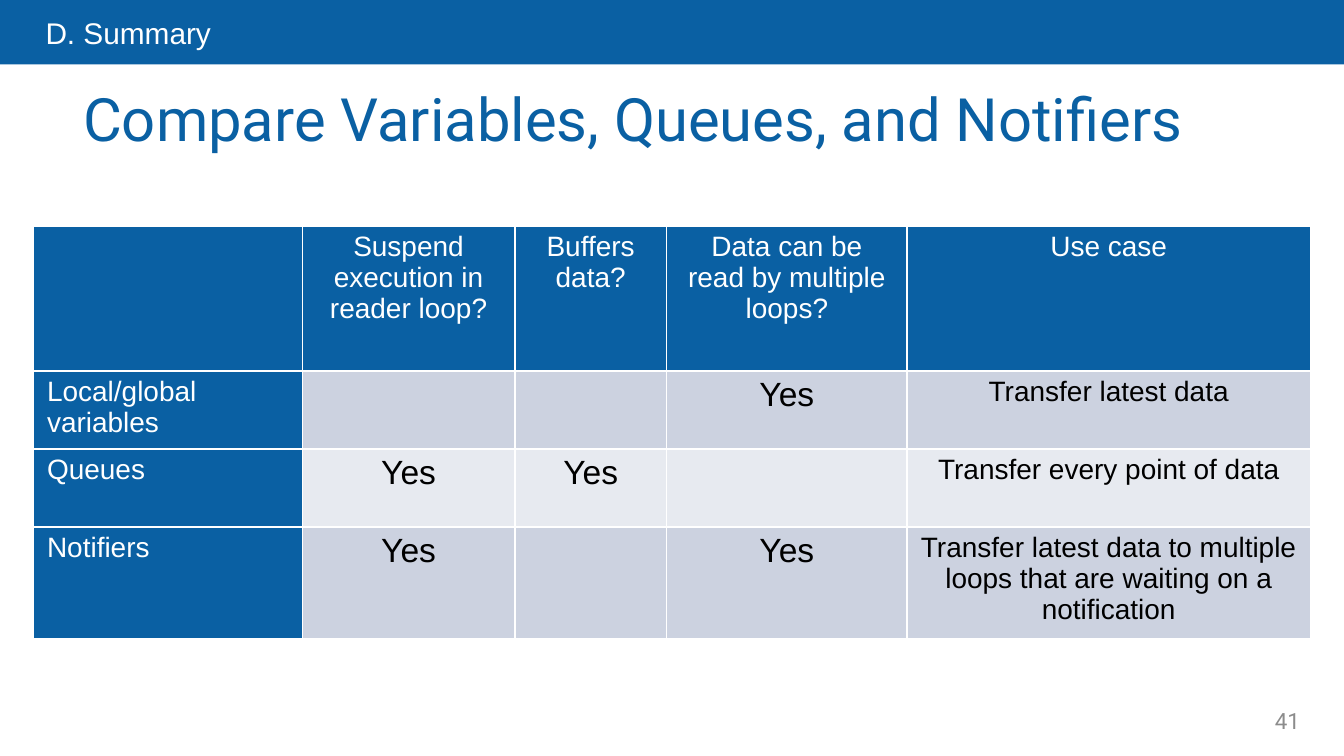
from lxml import etree
from pptx import Presentation
from pptx.dml.color import RGBColor
from pptx.enum.shapes import MSO_SHAPE
from pptx.enum.text import MSO_ANCHOR, PP_ALIGN
from pptx.oxml.ns import qn
from pptx.util import Inches, Pt

RECTANGLE = MSO_SHAPE.RECTANGLE
TOP, MIDDLE = MSO_ANCHOR.TOP, MSO_ANCHOR.MIDDLE
LEFT, CENTER = PP_ALIGN.LEFT, PP_ALIGN.CENTER

WIDTH = 10
HEIGHT = WIDTH * 9 / 16
COLORS = {
    "blue": "0A60A3",
    "white": "FFFFFF",
    "black": "000000",
    "gray": "8C8C8C",
    "dark band": "CCD2E0",
    "light band": "E7EAF0",
}

SECTION = "D. Summary"
TITLE = "Compare Variables, Queues, and Notifiers"
PAGE_NUMBER = "41"
COMPARISON = [
    ["", "Suspend execution in reader loop?", "Buffers data?",
     "Data can be read by multiple loops?", "Use case"],
    ["Local/global variables", "", "", "Yes", "Transfer latest data"],
    ["Queues", "Yes", "Yes", "", "Transfer every point of data"],
    ["Notifiers", "Yes", "", "Yes",
     "Transfer latest data to multiple loops that are waiting on a notification"],
]
TABLE_LEFT, TABLE_TOP = 0.25, 1.68
COLUMN_WIDTHS = [2, 1.58, 1.13, 1.79, 3]
ROW_HEIGHTS = [1.08, 0.58, 0.58, 0.58]


def color(name):
    return RGBColor.from_string(COLORS[name])


def style(paragraph, font_name, size, color_name, alignment):
    paragraph.alignment = alignment
    paragraph.font.name = font_name
    paragraph.font.size = Pt(size)
    paragraph.font.color.rgb = color(color_name)


def add_text(slide, text, box, font_name, size, color_name,
             alignment=LEFT, anchor=TOP, space_before=5.7):
    frame = slide.shapes.add_textbox(*map(Inches, box)).text_frame
    frame.word_wrap = True
    frame.vertical_anchor = anchor
    paragraph = frame.paragraphs[0]
    paragraph.text = text
    paragraph.space_before = Pt(space_before)
    style(paragraph, font_name, size, color_name, alignment)


def add_borders(cell):
    """Put a thin white line on all four sides, ahead of the cell's fill."""
    properties = cell._tc.get_or_add_tcPr()
    for position, side in enumerate(("a:lnL", "a:lnR", "a:lnT", "a:lnB")):
        line = etree.Element(qn(side), w=str(Pt(1)))
        fill = etree.SubElement(line, qn("a:solidFill"))
        etree.SubElement(fill, qn("a:srgbClr"), val=COLORS["white"])
        properties.insert(position, line)


def add_comparison(slide):
    table = slide.shapes.add_table(
        len(ROW_HEIGHTS), len(COLUMN_WIDTHS),
        Inches(TABLE_LEFT), Inches(TABLE_TOP),
        Inches(sum(COLUMN_WIDTHS)), Inches(sum(ROW_HEIGHTS))).table
    for column, width in zip(table.columns, COLUMN_WIDTHS):
        column.width = Inches(width)
    for row, height in zip(table.rows, ROW_HEIGHTS):
        row.height = Inches(height)

    for row_index, texts in enumerate(COMPARISON):
        band = "dark band" if row_index % 2 else "light band"
        for column_index, text in enumerate(texts):
            is_heading = row_index == 0 or column_index == 0
            cell = table.cell(row_index, column_index)
            cell.text = text
            cell.margin_top = cell.margin_bottom = Inches(0.04)
            cell.fill.solid()
            cell.fill.fore_color.rgb = color("blue" if is_heading else band)
            add_borders(cell)
            style(cell.text_frame.paragraphs[0], "Arial",
                  18 if text == "Yes" else 15,
                  "white" if is_heading else "black",
                  CENTER if column_index else LEFT)


def main():
    presentation = Presentation()
    presentation.slide_width = Inches(WIDTH)
    presentation.slide_height = Inches(HEIGHT)
    slide = presentation.slides.add_slide(presentation.slide_layouts[6])

    banner = slide.shapes.add_shape(RECTANGLE, 0, 0, Inches(WIDTH), Inches(0.48))
    banner.shadow.inherit = False
    banner.fill.solid()
    banner.fill.fore_color.rgb = color("blue")
    banner.line.fill.background()

    add_text(slide, TITLE, (0.52, 0.56, 8.58, 1.31), "Roboto", 32, "blue")
    add_text(slide, SECTION, (0.24, 0.06, 7.18, 0.35), "Arial", 16, "white")
    add_text(slide, PAGE_NUMBER, (9.33, 5.21, 0.5, 0.3), "Roboto", 12, "gray",
             CENTER, MIDDLE, space_before=0)
    add_comparison(slide)
    presentation.save("out.pptx")


if __name__ == "__main__":
    main()
